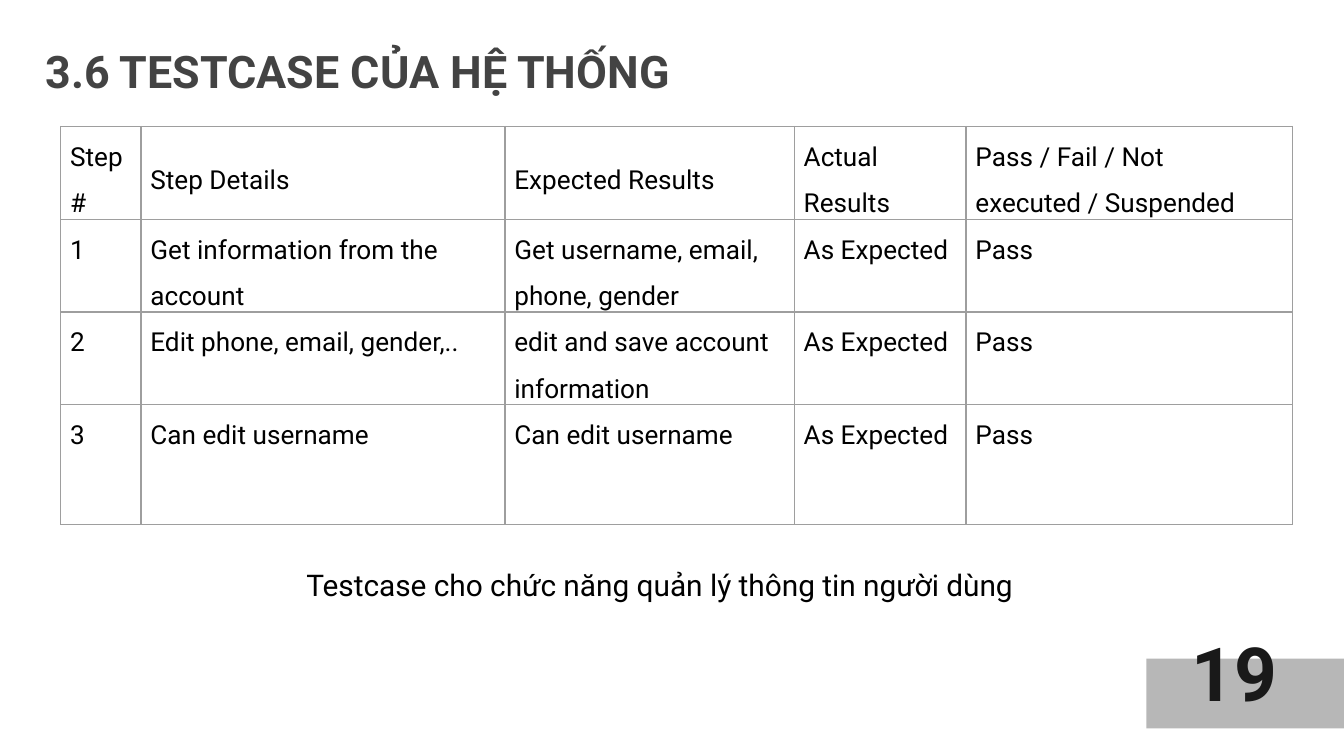
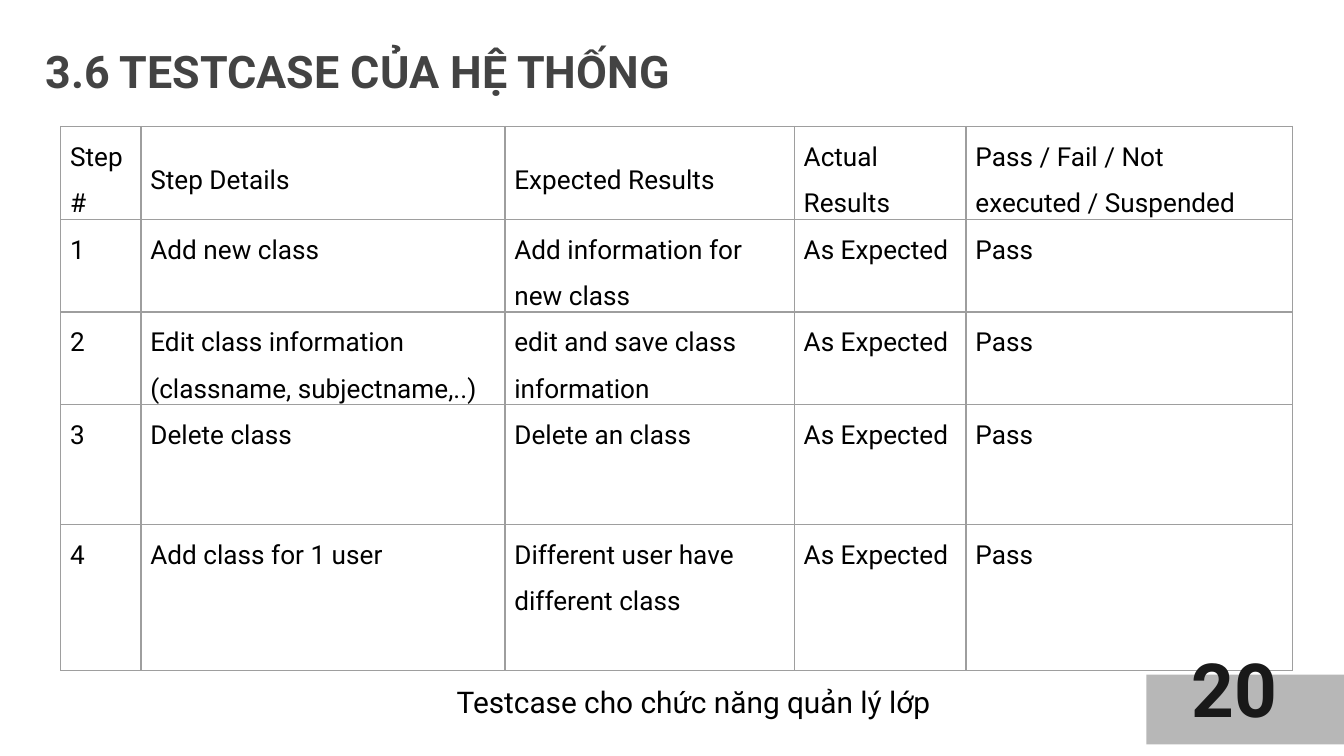
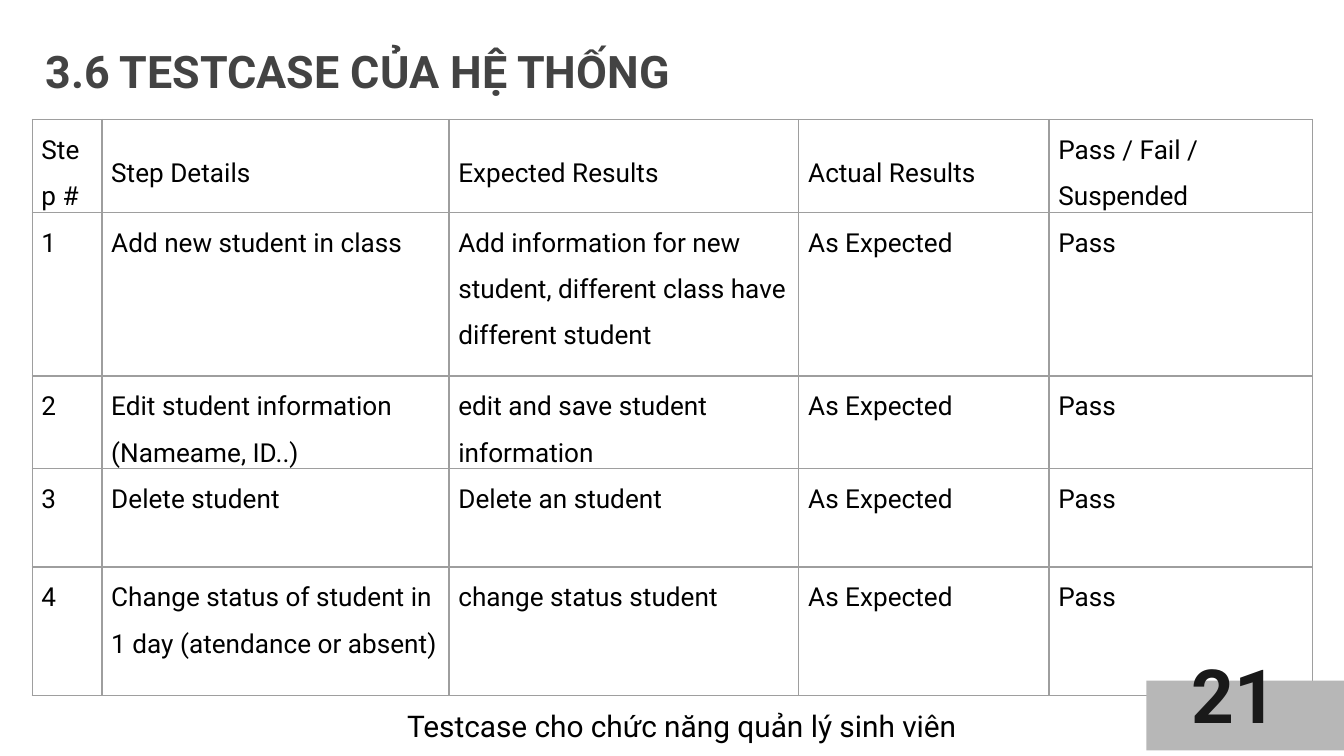
from dataclasses import dataclass

from lxml import etree
from pptx import Presentation
from pptx import util as u
from pptx.dml import color
from pptx.enum import shapes, text
from pptx.oxml import ns


@dataclass(frozen=True)
class Theme:
    font: str = "Roboto"
    heading: str = "434343"
    body: str = "000000"
    page: str = "191919"
    band: str = "B7B7B7"
    grid: str = "9E9E9E"
    heading_size: float = 24
    cell_size: float = 14
    caption_size: float = 16
    page_size: float = 40
    grid_width: float = 0.75


theme = Theme()


def style(paragraph, size, rgb, bold=False):
    for run in paragraph.runs:
        run.font.name = theme.font
        run.font.size = u.Pt(size)
        run.font.bold = bold
        run.font.color.rgb = color.RGBColor.from_string(rgb)


def draw_borders(cell):
    properties = cell._tc.get_or_add_tcPr()
    for side in ("lnL", "lnR", "lnT", "lnB"):
        line = etree.SubElement(properties, ns.qn(f"a:{side}"), w=str(u.Pt(theme.grid_width)))
        fill = etree.SubElement(line, ns.qn("a:solidFill"))
        etree.SubElement(fill, ns.qn("a:srgbClr"), val=theme.grid)


wide_grid = dict(left=32.6, top=67.8, columns=(43, 195, 155, 92, 175))
full_grid = dict(left=17.2, top=64, columns=(37.4, 186, 187.4, 134, 141))
long_verdict = "Pass / Fail / Not executed / Suspended"

testcases = [
    dict(
        page=19, grid=wide_grid, verdict=long_verdict, height=207,
        rows=(46.8, 33.8, 33.8, 64),
        steps=[
            ("Get information from the account", "Get username, email, phone, gender"),
            ("Edit phone, email, gender,..", "edit and save account information"),
            ("Can edit username", "Can edit username"),
        ],
        caption="Testcase cho chức năng quản lý thông tin người dùng",
        caption_box=(157, 300, 408, 26.6), band_top=352.8,
    ),
    dict(
        page=20, grid=wide_grid, verdict=long_verdict, height=285,
        rows=(46.8, 33.8, 33.8, 64, 78.4),
        steps=[
            ("Add new class", "Add information for new class"),
            ("Edit class information (classname, subjectname,..)", "edit and save class information"),
            ("Delete class", "Delete an class"),
            ("Add class for 1 user", "Different user have different class"),
        ],
        caption="Testcase cho chức năng quản lý lớp",
        caption_box=(237.6, 362.8, 275, 26.6), band_top=361.4,
    ),
    dict(
        page=21, grid=full_grid, verdict="Pass / Fail / Suspended", height=304,
        rows=(45.4, 87.8, 45.4, 52.6, 69),
        steps=[
            ("Add new student in class",
             "Add information for new student, different class have different student"),
            ("Edit student information (Nameame, ID..)", "edit and save student information"),
            ("Delete student", "Delete an student"),
            ("Change status of student in 1 day (atendance or absent)", "change status student"),
        ],
        caption="Testcase cho chức năng quản lý sinh viên",
        caption_box=(211, 375.8, 337.6, 26.6), band_top=364.6,
    ),
]

deck = Presentation()
deck.slide_width, deck.slide_height = u.Pt(720), u.Pt(405)

for case in testcases:
    slide = deck.slides.add_slide(deck.slide_layouts[5])

    heading = slide.shapes.title
    heading.left, heading.top, heading.width, heading.height = map(u.Pt, (17.2, 16, 596, 74))
    frame = heading.text_frame
    frame.text = "3.6 TESTCASE CỦA HỆ THỐNG"
    frame.margin_left = frame.margin_right = frame.margin_top = frame.margin_bottom = u.Pt(7.2)
    frame.vertical_anchor = text.MSO_ANCHOR.TOP
    frame.auto_size = text.MSO_AUTO_SIZE.NONE
    frame.paragraphs[0].alignment = text.PP_ALIGN.LEFT
    style(frame.paragraphs[0], theme.heading_size, theme.heading, True)

    grid = case["grid"]
    header = ("Step #", "Step Details", "Expected Results", "Actual Results", case["verdict"])
    records = [header] + [
        (str(number), detail, expected, "As Expected", "Pass")
        for number, (detail, expected) in enumerate(case["steps"], 1)
    ]
    results = slide.shapes.add_table(
        len(records), len(header), u.Pt(grid["left"]), u.Pt(grid["top"]),
        u.Pt(sum(grid["columns"])), u.Pt(case["height"]))
    table = results.table
    table.first_row = table.horz_banding = False
    for column, width in zip(table.columns, grid["columns"]):
        column.width = u.Pt(width)
    for row, height in zip(table.rows, case["rows"]):
        row.height = u.Pt(height)
    results.height = u.Pt(case["height"])
    for r, record in enumerate(records):
        for c, entry in enumerate(record):
            cell = table.cell(r, c)
            cell.text = entry
            cell.margin_left = cell.margin_right = u.Pt(5)
            cell.margin_top = cell.margin_bottom = 0
            cell.vertical_anchor = text.MSO_ANCHOR.TOP if r else text.MSO_ANCHOR.MIDDLE
            draw_borders(cell)
            cell.fill.background()
            paragraph = cell.text_frame.paragraphs[0]
            paragraph.line_spacing = 1.5
            style(paragraph, theme.cell_size, theme.body)

    caption = slide.shapes.add_textbox(*map(u.Pt, case["caption_box"])).text_frame
    caption.text = case["caption"]
    caption.word_wrap = True
    caption.auto_size = text.MSO_AUTO_SIZE.SHAPE_TO_FIT_TEXT
    style(caption.paragraphs[0], theme.caption_size, theme.body)

    footer = slide.shapes.add_group_shape()
    band = footer.shapes.add_shape(
        shapes.MSO_SHAPE.RECTANGLE, u.Pt(614.2), u.Pt(case["band_top"]), u.Pt(105.8), u.Pt(37.4))
    band.shadow.inherit = False
    band.fill.solid()
    band.fill.fore_color.rgb = color.RGBColor.from_string(theme.band)
    band.line.fill.background()

    page = footer.shapes.add_textbox(
        u.Pt(631.4), u.Pt(case["band_top"] - 69), u.Pt(60), u.Pt(92)).text_frame
    page.text = str(case["page"])
    page.word_wrap = True
    page.auto_size = text.MSO_AUTO_SIZE.SHAPE_TO_FIT_TEXT
    page.margin_left = page.margin_right = page.margin_top = page.margin_bottom = 0
    page.vertical_anchor = text.MSO_ANCHOR.MIDDLE
    page.paragraphs[0].alignment = text.PP_ALIGN.CENTER
    page.paragraphs[0].line_spacing = u.Pt(108)
    style(page.paragraphs[0], theme.page_size, theme.page, True)

deck.save("out.pptx")
